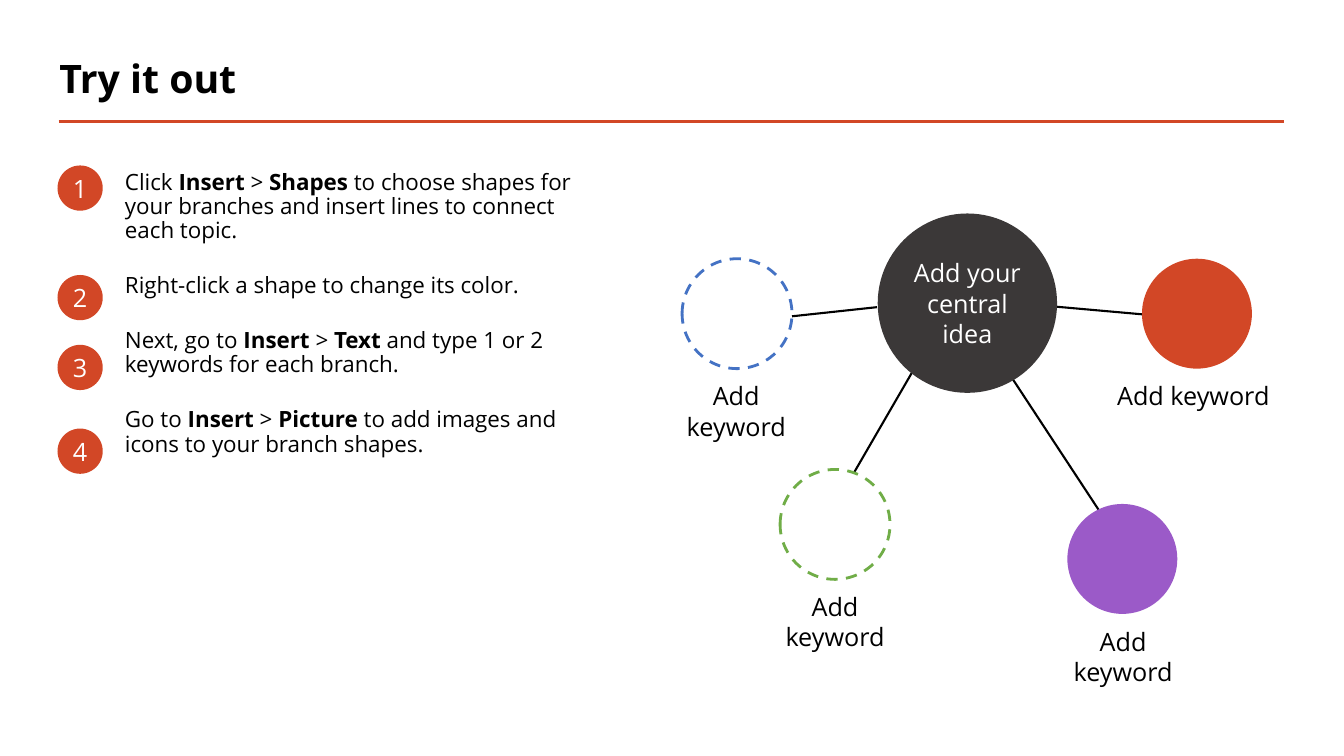
from pptx import Presentation
from pptx.dml.color import RGBColor
from pptx.enum.dml import MSO_LINE_DASH_STYLE as DASH
from pptx.enum.shapes import MSO_CONNECTOR as CONNECTOR, MSO_SHAPE as SHAPE
from pptx.enum.text import MSO_ANCHOR as ANCHOR, PP_ALIGN as ALIGN
from pptx.oxml.ns import qn
from pptx.util import Cm, Pt
from lxml import etree

FONT = "Open Sans"
BLACK, WHITE, ORANGE, DARK = "000000", "FFFFFF", "D24726", "3B3838"
BLUE, GREEN, PURPLE = "4472C4", "70AD47", "9B5AC8"

# Badge top within the steps box, then text runs; every second run is bold
STEPS = [
    (0, ["Click ", "Insert", " > ", "Shapes",
         " to choose shapes for your branches and insert lines to connect each topic."]),
    (2.76, ["Right-click a shape to change its color."]),
    (4.52, ["Next, go to ", "Insert ", ">", " Text ",
            "and type 1 or 2 keywords for each branch."]),
    (6.63, ["Go to ", "Insert", " > ", "Picture",
            " to add images and icons to your branch shapes."]),
]

# Circle corner, colour, dashed, label (left, width, height), line ends
BRANCHES = [
    ((0.3, 1.14), BLUE, True, (0, 3.33, 1.8), (5.21, 2.36, 3.07, 2.59)),
    ((2.77, 6.45), GREEN, True, (2.49, 3.33, 1.8), (6.15, 3.91, 4.62, 6.55)),
    ((10.01, 7.32), PURPLE, False, (9.75, 3.33, 1.8), (8.61, 4.14, 10.95, 7.7)),
    ((11.89, 1.14), ORANGE, False, (10.95, 4.47, 1.02), (9.3, 2.31, 11.89, 2.54)),
]


def rgb(value):
    return RGBColor.from_string(value)


def set_all(obj, **values):
    for name, value in values.items():
        setattr(obj, name, value)


def add_run(p, text, size, color=BLACK, bold=False):
    r = p.add_run()
    r.text = text
    set_all(r.font, name=FONT, size=Pt(size), bold=bold)
    r.font.color.rgb = rgb(color)


def add_line(s, x1, y1, x2, y2, color, width):
    line = s.shapes.add_connector(CONNECTOR.STRAIGHT, Cm(x1), Cm(y1), Cm(x2), Cm(y2))
    line.line.color.rgb = rgb(color)
    line.line.width = Pt(width)
    etree.SubElement(line._element.spPr, qn("a:effectLst"))


def add_circle(s, x, y, diameter, color, dashed=False, text=""):
    sp = s.shapes.add_shape(SHAPE.OVAL, Cm(x), Cm(y), Cm(diameter), Cm(diameter))
    sp.shadow.inherit = False
    if dashed:
        sp.fill.background()
        sp.line.color.rgb = rgb(color)
        set_all(sp.line, width=Pt(2), dash_style=DASH.DASH)
    else:
        sp.fill.solid()
        sp.fill.fore_color.rgb = rgb(color)
        sp.line.fill.background()
    if text:
        tf = sp.text_frame
        set_all(tf, word_wrap=True, vertical_anchor=ANCHOR.MIDDLE, margin_left=0,
                margin_right=0, margin_top=0, margin_bottom=0)
        p = tf.paragraphs[0]
        p.alignment = ALIGN.CENTER
        add_run(p, text, 18, WHITE)


def add_text_frame(s, x, y, w, h):
    tf = s.shapes.add_textbox(Cm(x), Cm(y), Cm(w), Cm(h)).text_frame
    tf.word_wrap = True
    return tf


def add_heading(s, x, y, w, h):
    title = s.shapes.title
    set_all(title, left=Cm(x), top=Cm(y), width=Cm(w), height=Cm(h))
    set_all(title.text_frame, word_wrap=True, vertical_anchor=ANCHOR.MIDDLE)
    p = title.text_frame.paragraphs[0]
    set_all(p, alignment=ALIGN.LEFT, line_spacing=0.9)
    add_run(p, "Try it out", 28, bold=True)
    add_line(s, x + 0.24, y + 1.93, x + 31.12, y + 1.93, ORANGE, 2)


def add_steps(s, x, y, w, h):
    indent = 1.45
    tf = add_text_frame(s, x + indent, y + 0.02, w - indent, h)
    for number, (top, parts) in enumerate(STEPS, 1):
        add_circle(s, x, y + top, 1.14, ORANGE, text=str(number))
        p = tf.paragraphs[0] if number == 1 else tf.add_paragraph()
        set_all(p, line_spacing=0.9, space_before=Pt(10), space_after=Pt(12))
        for i, part in enumerate(parts):
            add_run(p, part, 16, bold=i % 2 == 1)


def add_mind_map(s, x, y):
    for (cx, cy), color, dashed, (left, w, h), (x1, y1, x2, y2) in BRANCHES:
        add_line(s, x + x1, y + y1, x + x2, y + y2, BLACK, 1.5)
        add_circle(s, x + cx, y + cy, 2.77, color, dashed)
        p = add_text_frame(s, x + left, y + cy + 2.95, w, h).paragraphs[0]
        p.alignment = ALIGN.CENTER
        add_run(p, "Add keyword", 18)
    add_circle(s, x + 5.23, y, 4.52, DARK, text="Add your central idea")


def main():
    prs = Presentation()
    set_all(prs, slide_width=Cm(33.87), slide_height=Cm(19.05))
    s = prs.slides.add_slide(prs.slide_layouts[5])
    add_heading(s, 1.24, 1.14, 25.4, 1.78)
    add_steps(s, 1.45, 4.17, 13.62, 10.13)
    add_mind_map(s, 16.89, 5.38)
    prs.save("out.pptx")


if __name__ == "__main__":
    main()
